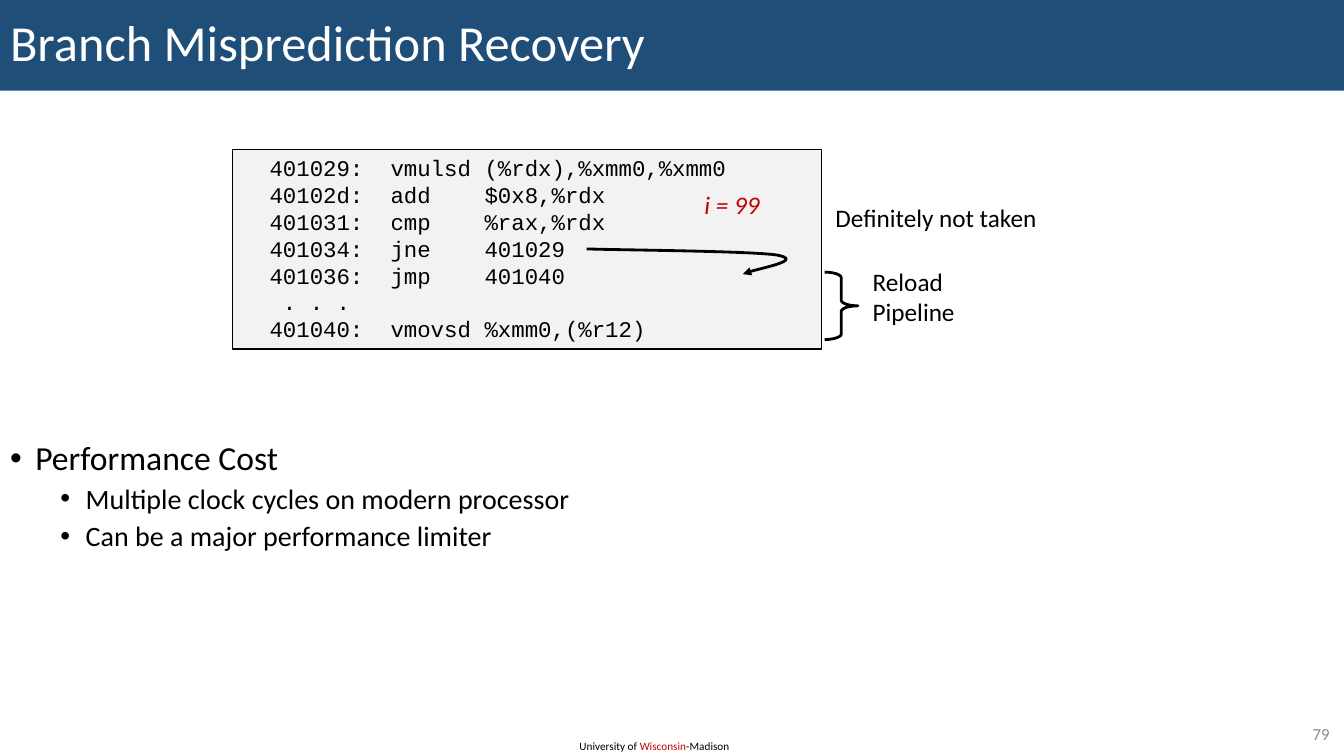
from lxml.etree import SubElement
from pptx import Presentation
from pptx.dml.color import RGBColor
from pptx.enum.shapes import MSO_SHAPE as Shape
from pptx.enum.text import MSO_ANCHOR as Anchor, MSO_AUTO_SIZE as AutoSize, PP_ALIGN as Align
from pptx.oxml.ns import qn
from pptx.util import Pt

BLACK, RED, GREY = "000000", "C00000", "8C8C8C"
TITLE = "Branch Misprediction Recovery"
COSTS = [
    (0, "Performance Cost"),
    (1, "Multiple clock cycles on modern processor"),
    (1, "Can be a major performance limiter"),
]
COST_LEVELS = [(24, 18, 10), (20, 54, 5)]
LISTING = [
    ("401029:", "vmulsd", "(%rdx),%xmm0,%xmm0"),
    ("40102d:", "add", "$0x8,%rdx"),
    ("401031:", "cmp", "%rax,%rdx"),
    ("401034:", "jne", "401029"),
    ("401036:", "jmp", "401040"),
    (" . . .",),
    ("401040:", "vmovsd", "%xmm0,(%r12)"),
]
LISTING_COLUMNS = (2, 11, 18)
CODE_SIZE = 16
CODE_ADVANCE = CODE_SIZE * 0.6
LABELS = [
    ((406.8, 524.2, 123.8, 17.3), 8, False, Align.LEFT, Anchor.TOP,
     [[("University of ", BLACK), ("Wisconsin", RED), ("-Madison", BLACK)]]),
    ((902.2, 513.4, 54.7, 20.9), 12, False, Align.RIGHT, Anchor.MIDDLE, [[("79", GREY)]]),
    ((496.1, 131.8, 54.7, 28.8), 18, True, Align.LEFT, Anchor.TOP, [[("i = 99", RED)]]),
    ((589.7, 141.1, 159.8, 28.8), 18, False, Align.LEFT, Anchor.TOP,
     [[("Definitely not taken", BLACK)]]),
    ((616.3, 186.5, 73.4, 51.1), 18, False, Align.LEFT, Anchor.TOP,
     [[("Reload", BLACK)], [("Pipeline", BLACK)]]),
]
JUMP_START = (419, 177.8)
JUMP_CURVE = [
    (441.4, 178.6), (536.4, 179.3), (555.1, 182.2),
    (573.8, 185.8), (535.7, 193), (530.6, 195.8),
]


def color(value):
    return RGBColor.from_string(value)


def place(shape, box):
    shape.left, shape.top, shape.width, shape.height = map(Pt, box)


def outline(shape, width):
    shape.line.color.rgb = color(BLACK)
    shape.line.width = Pt(width)
    shape.shadow.inherit = False


def add_run(paragraph, text, size, ink, face="Calibri", italic=False):
    run = paragraph.add_run()
    run.text = text
    run.font.name = face
    run.font.size = Pt(size)
    run.font.color.rgb = color(ink)
    run.font.italic = italic


def paragraphs(frame, entries):
    for index, entry in enumerate(entries):
        yield (frame.add_paragraph() if index else frame.paragraphs[0]), entry


def add_title(slide):
    title = slide.shapes.title
    place(title, (0, 0, 960, 64.8))
    title.fill.solid()
    title.fill.fore_color.rgb = color("1F4E79")
    title.text_frame.vertical_anchor = Anchor.MIDDLE
    title.text_frame.auto_size = AutoSize.NONE
    heading = title.text_frame.paragraphs[0]
    heading.alignment = Align.LEFT
    heading.line_spacing = 0.9
    add_run(heading, TITLE, 36, "FFFFFF")


def add_costs(slide):
    costs = slide.placeholders[1]
    place(costs, (0, 311.8, 630.7, 108))
    costs.text_frame.auto_size = AutoSize.NONE
    for paragraph, (level, text) in paragraphs(costs.text_frame, COSTS):
        size, margin, before = COST_LEVELS[level]
        paragraph.level = level
        paragraph.line_spacing = 0.9
        paragraph.space_before = Pt(before)
        props = paragraph._p.get_or_add_pPr()
        props.set("marL", str(Pt(margin)))
        props.set("indent", str(Pt(-18)))
        SubElement(props, qn("a:buFont"), typeface="Arial")
        SubElement(props, qn("a:buChar"), char="•")
        add_run(paragraph, text, size, BLACK)


def add_listing(slide):
    listing = slide.shapes.add_shape(Shape.RECTANGLE, *map(Pt, (166.3, 106.6, 420.5, 142.6)))
    listing.fill.solid()
    listing.fill.fore_color.rgb = color("F2F2F2")
    outline(listing, 1)
    listing.text_frame.word_wrap = True
    listing.text_frame.vertical_anchor = Anchor.TOP
    for paragraph, fields in paragraphs(listing.text_frame, LISTING):
        paragraph.alignment = Align.LEFT
        tabs = SubElement(paragraph._p.get_or_add_pPr(), qn("a:tabLst"))
        for column in LISTING_COLUMNS:
            SubElement(tabs, qn("a:tab"), pos=str(Pt(column * CODE_ADVANCE)), algn="l")
        line = "".join("\t" + field for field in fields)
        add_run(paragraph, line, CODE_SIZE, BLACK, "Courier New")


def add_jump(slide):
    builder = slide.shapes.build_freeform(*map(Pt, JUMP_START))
    builder.add_line_segments([tuple(map(Pt, point)) for point in JUMP_CURVE], close=False)
    jump = builder.convert_to_shape()
    jump.fill.background()
    outline(jump, 2)
    SubElement(jump.line._get_or_add_ln(), qn("a:tailEnd"), type="triangle")
    curve = next(jump._element.iter(qn("a:path")))
    segments = curve.findall(qn("a:lnTo"))
    for first in range(0, len(segments), 3):
        bezier = SubElement(curve, qn("a:cubicBezTo"))
        for segment in segments[first:first + 3]:
            bezier.append(segment[0])
            curve.remove(segment)


def add_brace(slide):
    brace = slide.shapes.add_shape(Shape.RIGHT_BRACE, *map(Pt, (589, 194.4, 23.8, 48.2)))
    brace.adjustments[0] = 0.167
    brace.adjustments[1] = 0.5
    brace.fill.background()
    outline(brace, 2)


def add_labels(slide):
    for box, size, italic, align, anchor, lines in LABELS:
        label = slide.shapes.add_textbox(*map(Pt, box))
        label.text_frame.word_wrap = align == Align.RIGHT
        label.text_frame.vertical_anchor = anchor
        for paragraph, runs in paragraphs(label.text_frame, lines):
            paragraph.alignment = align
            for text, ink in runs:
                add_run(paragraph, text, size, ink, italic=italic)


def main():
    deck = Presentation()
    deck.slide_width, deck.slide_height = Pt(960), Pt(540)
    slide = deck.slides.add_slide(deck.slide_layouts[1])
    for add_part in (add_title, add_costs, add_listing, add_jump, add_brace, add_labels):
        add_part(slide)
    deck.save("out.pptx")


if __name__ == "__main__":
    main()
